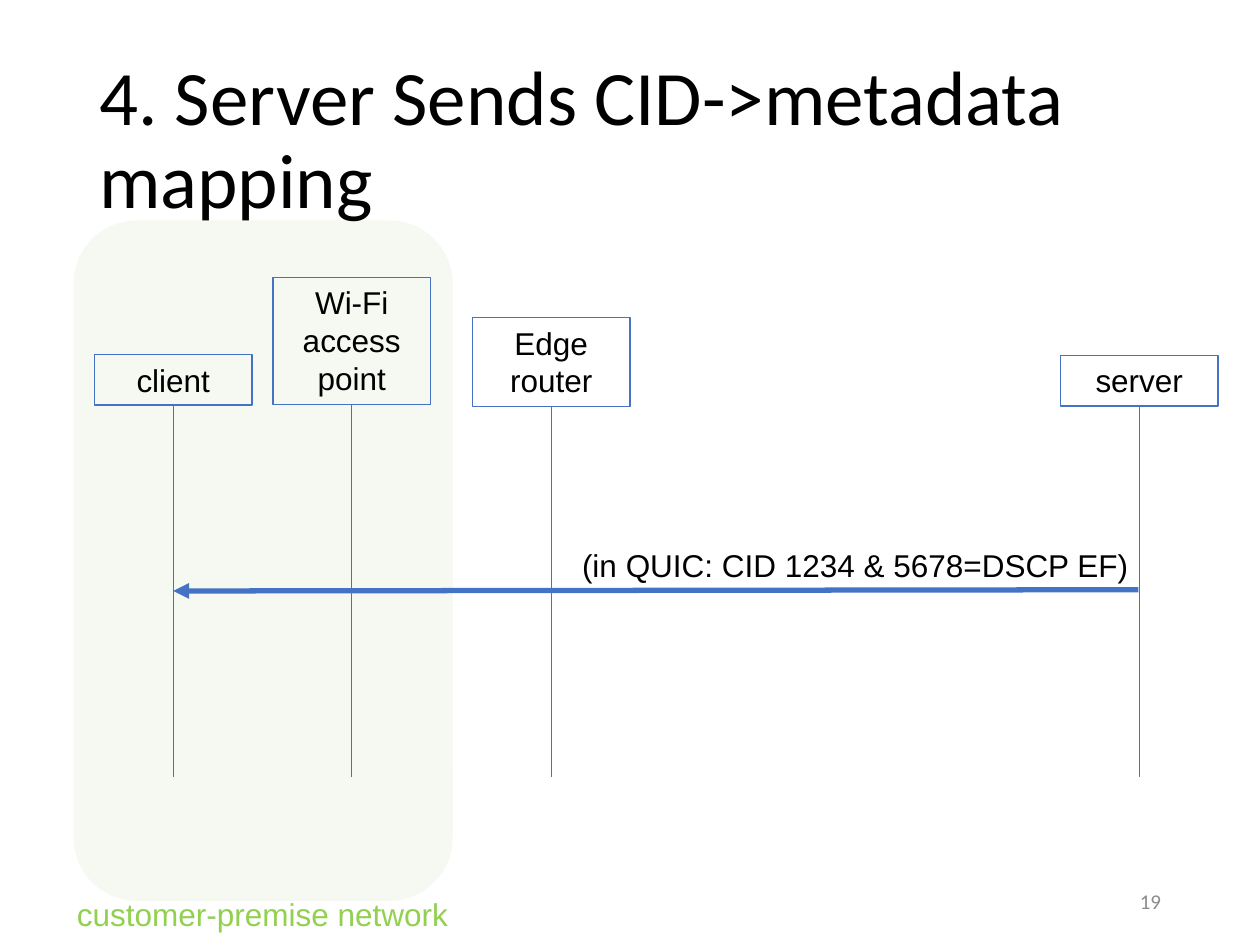
from lxml import etree
from pptx import Presentation
from pptx.dml.color import RGBColor
from pptx.enum.shapes import MSO_CONNECTOR, MSO_SHAPE
from pptx.enum.text import MSO_ANCHOR, PP_ALIGN
from pptx.oxml.ns import qn
from pptx.util import Pt

COLORS = {"ink": "000000", "blue": "4472C4", "zone": "EBF1DE",
          "green": "92D050", "gray": "8C8C8C"}


def write(sp, text, size, color, align, anchor=MSO_ANCHOR.TOP, font="Arial"):
    tf = sp.text_frame
    tf.word_wrap = True
    tf.vertical_anchor = anchor
    p = tf.paragraphs[0]
    p.text = text
    p.alignment = align
    p.font.size = Pt(size)
    p.font.name = font
    p.font.color.rgb = RGBColor.from_string(COLORS[color])
    return p


def add_line(s, x1, y1, x2, y2, width):
    line = s.shapes.add_connector(MSO_CONNECTOR.STRAIGHT, Pt(x1), Pt(y1), Pt(x2), Pt(y2))
    line.line.color.rgb = RGBColor.from_string(COLORS["blue"])
    line.line.width = Pt(width)
    etree.SubElement(line._element.spPr, qn("a:effectLst"))
    return line


prs = Presentation()
prs.slide_width, prs.slide_height = Pt(720), Pt(540)
s = prs.slides.add_slide(prs.slide_layouts[5])

zone = s.shapes.add_shape(MSO_SHAPE.ROUNDED_RECTANGLE, Pt(42), Pt(126), Pt(216.7), Pt(388.8))
zone.shadow.inherit = False
zone.line.fill.background()
zone.fill.solid()
zone.fill.fore_color.rgb = RGBColor.from_string(COLORS["zone"])
color = zone._element.spPr.find(qn("a:solidFill"))[0]
etree.SubElement(color, qn("a:alpha"), val="42000")
s.shapes._spTree.insert(2, zone._element)

title = s.shapes.title
title.left, title.top, title.width, title.height = Pt(49.5), Pt(28.8), Pt(621), Pt(104.4)
p = write(title, "4. Server Sends CID->metadata mapping", 44, "ink",
          PP_ALIGN.LEFT, MSO_ANCHOR.MIDDLE, "Calibri")
p.line_spacing = 0.9

nodes = [("client", 54, 202.5, 29), ("Wi-Fi access point", 156, 158.4, 72.7),
         ("Edge router", 270, 181.4, 51), ("server", 606, 203, 29)]
box_width, lifeline_end = 90, 444
for text, x, y, height in nodes:
    sp = s.shapes.add_shape(MSO_SHAPE.RECTANGLE, Pt(x), Pt(y), Pt(box_width), Pt(height))
    sp.shadow.inherit = False
    sp.fill.background()
    sp.line.color.rgb = RGBColor.from_string(COLORS["blue"])
    sp.line.width = Pt(0.75)
    write(sp, text, 18, "ink", PP_ALIGN.CENTER)
    center = x + box_width / 2
    lifeline = add_line(s, center, y + height, center, lifeline_end, 0.5)
    lifeline.begin_connect(sp, 2)

arrow = add_line(s, 650.5, 337, 99, 337.7, 3)
etree.SubElement(arrow.line._get_or_add_ln(), qn("a:tailEnd"), type="triangle")

labels = [
    ("(in QUIC: CID 1234 & 5678=DSCP EF)", 325.5, 308.2, 348, 18, "ink",
     PP_ALIGN.LEFT, MSO_ANCHOR.TOP, "Arial"),
    ("customer-premise network", 34, 507.6, 232, 18, "green",
     PP_ALIGN.CENTER, MSO_ANCHOR.TOP, "Arial"),
    ("19", 508.5, 500.4, 162, 12, "gray",
     PP_ALIGN.RIGHT, MSO_ANCHOR.MIDDLE, "Calibri"),
]
for text, x, y, width, *style in labels:
    sp = s.shapes.add_textbox(Pt(x), Pt(y), Pt(width), Pt(29))
    write(sp, text, *style)

prs.save("out.pptx")
